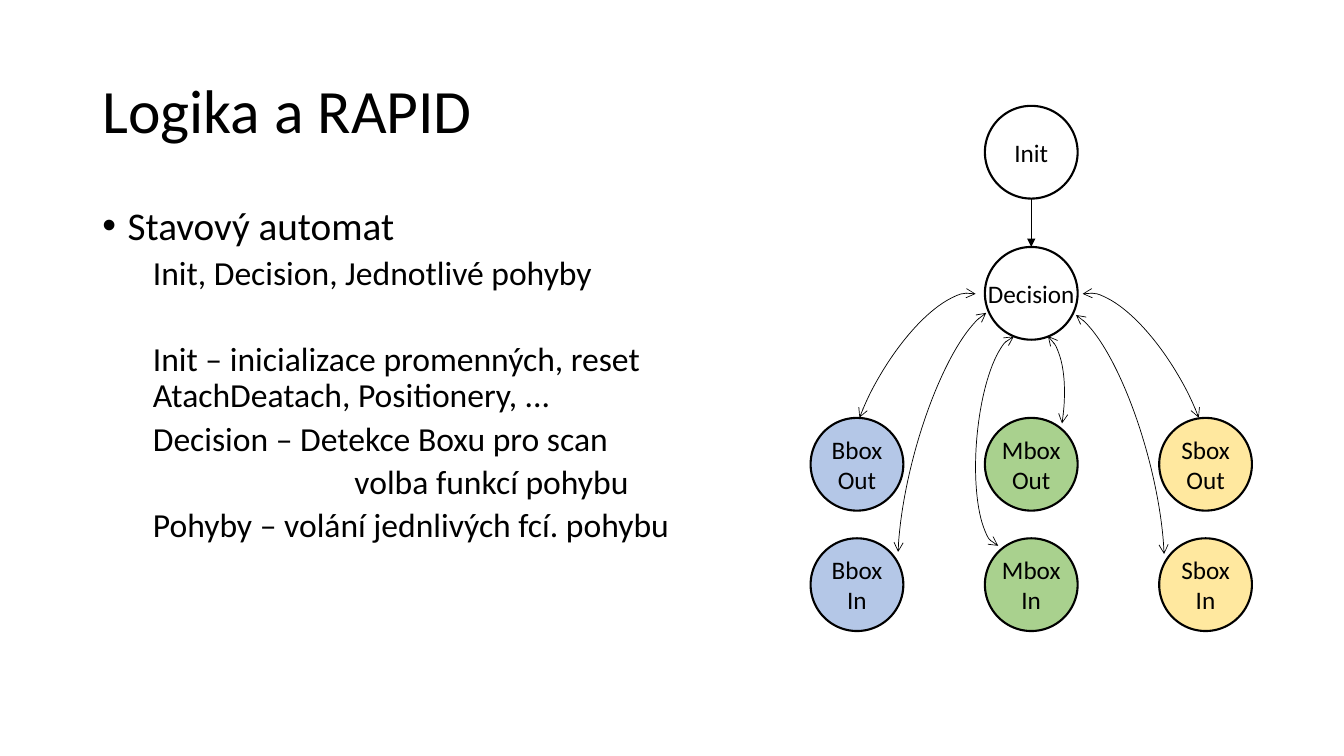
"""Build the state machine slide: title, explanatory list and state diagram."""
from pptx import Presentation
from pptx.dml.color import RGBColor
from pptx.enum import shapes, text
from pptx.oxml import ns, xmlchemy
from pptx.util import Pt

BLACK = RGBColor(0x00, 0x00, 0x00)
BLUE = RGBColor(0xB4, 0xC7, 0xE7)
GREEN = RGBColor(0xA9, 0xD1, 0x8E)
YELLOW = RGBColor(0xFF, 0xE8, 0x9F)

TITLE = "Logika a RAPID"
# text, size, left margin, hanging indent, space before, bullet
BODY = [
    ("Stavový automat", 28, 18, -18, 0, "•"),
    ("Init, Decision, Jednotlivé pohyby", 24, 36, 0, 5, None),
    ("Init – inicializace promenných, reset\vAtachDeatach, Positionery, ...", 24, 36, 0, 36, None),
    ("Decision – Detekce Boxu pro scan", 24, 36, 0, 5, None),
    ("volba funkcí pohybu", 24, 180, 0, 5, None),
    ("Pohyby – volání jednlivých fcí. pohybu", 24, 36, 0, 5, None),
]

DIAMETER = 66.24
COL_LEFT, COL_STEP = 579, 124.5
ROW_TOPS = (75.6, 176.4, 298.5, 384.5)
# label, column, row, fill
STATES = [("Init", 1, 0, None), ("Decision", 1, 1, None)] + [
    (f"{box}\n{way}", col, row, color)
    for col, (box, color) in enumerate([("Bbox", BLUE), ("Mbox", GREEN), ("Sbox", YELLOW)])
    for row, way in ((2, "Out"), (3, "In"))
]
# left, top, width, height, rotation, mirrored, start and end angle in degrees
ARCS = [
    (697.7, 239.8, 45.4, 150.5, 4.9, True, 272, 89.3),
    (781.2, 199.4, 64.8, 169.9, 329.6, False, 272, 48.5),
    (624.2, 199.4, 64.8, 169.9, 30.4, True, 272, 48.5),
    (652.3, 217.4, 64.8, 228.2, 15.2, True, 274.8, 70.7),
    (756, 218.9, 64.8, 228.2, 344.8, False, 274.8, 70.7),
    (691.2, 234.7, 64.8, 155.5, 14.3, False, 274.8, 329.8),
]


def write(p, content, *, size, align=None, line=None, before=0, margin=0, indent=0, bullet=None):
    """Fill a paragraph with formatted text."""
    p.text = content
    pPr = p._p.get_or_add_pPr()
    pPr.set("marL", str(Pt(margin)))
    pPr.set("indent", str(Pt(indent)))
    mark = xmlchemy.OxmlElement("a:buChar" if bullet else "a:buNone")
    if bullet:
        mark.set("char", bullet)
    pPr.append(mark)
    p.alignment = align
    p.line_spacing = line
    p.space_before = Pt(before)
    for r in p.runs:
        r.font.name, r.font.size = "Calibri", Pt(size)
        r.font.color.rgb = BLACK


def place(s, left, top, width, height):
    """Move and size a placeholder."""
    s.left, s.top, s.width, s.height = Pt(left), Pt(top), Pt(width), Pt(height)
    s.text_frame.auto_size = text.MSO_AUTO_SIZE.NONE
    return s.text_frame


def outline(s, width, **ends):
    """Draw a black line with optional arrowheads."""
    s.line.color.rgb, s.line.width = BLACK, Pt(width)
    ln = s._element.spPr.find(ns.qn("a:ln"))
    for end, kind in ends.items():
        mark = xmlchemy.OxmlElement(f"a:{end}")
        mark.set("type", kind)
        ln.append(mark)


def add_state(slide, label, col, row, color):
    """Add one labelled state circle."""
    s = slide.shapes.add_shape(shapes.MSO_SHAPE.OVAL, Pt(COL_LEFT + col * COL_STEP),
                               Pt(ROW_TOPS[row]), Pt(DIAMETER), Pt(DIAMETER))
    s.shadow.inherit = False
    if color is None:
        s.fill.background()
    else:
        s.fill.solid()
        s.fill.fore_color.rgb = color
    outline(s, 1.5)
    tf = s.text_frame
    tf.margin_left = tf.margin_right = tf.margin_top = tf.margin_bottom = 0
    tf.word_wrap = False
    tf.vertical_anchor = text.MSO_ANCHOR.MIDDLE
    for i, word in enumerate(label.split("\n")):
        p = tf.add_paragraph() if i else tf.paragraphs[0]
        write(p, word, size=18, align=text.PP_ALIGN.CENTER)


def add_arc(slide, left, top, width, height, rotation, mirrored, start, end):
    """Add one curved double arrow."""
    s = slide.shapes.add_shape(shapes.MSO_SHAPE.ARC, Pt(left), Pt(top), Pt(width), Pt(height))
    s.shadow.inherit = False
    s.fill.background()
    s.adjustments[0], s.adjustments[1] = start * 0.6, end * 0.6
    s.rotation = rotation
    if mirrored:
        s._element.spPr.find(ns.qn("a:xfrm")).set("flipH", "1")
    outline(s, 0.5, headEnd="arrow", tailEnd="arrow")


def main():
    """Assemble and save the slide."""
    prs = Presentation()
    prs.slide_width, prs.slide_height = Pt(960), Pt(540)
    slide = prs.slides.add_slide(prs.slide_layouts[1])

    tf = place(slide.shapes.title, 66, 28.8, 828, 104.4)
    tf.vertical_anchor = text.MSO_ANCHOR.MIDDLE
    write(tf.paragraphs[0], TITLE, size=44, align=text.PP_ALIGN.LEFT, line=0.9)

    tf = place(slide.placeholders[1], 66, 144, 437, 342.7)
    for i, (content, size, margin, indent, before, bullet) in enumerate(BODY):
        p = tf.add_paragraph() if i else tf.paragraphs[0]
        p.level = 1 if i else 0
        write(p, content, size=size, line=0.9, before=before, margin=margin,
              indent=indent, bullet=bullet)

    for state in STATES:
        add_state(slide, *state)
    axis = Pt(COL_LEFT + COL_STEP + DIAMETER / 2)
    c = slide.shapes.add_connector(shapes.MSO_CONNECTOR.STRAIGHT, axis,
                                   Pt(ROW_TOPS[0] + DIAMETER), axis, Pt(ROW_TOPS[1]))
    outline(c, 0.5, tailEnd="triangle")
    c._element.spPr.append(xmlchemy.OxmlElement("a:effectLst"))
    for arc in ARCS:
        add_arc(slide, *arc)

    prs.save("out.pptx")


if __name__ == "__main__":
    main()
